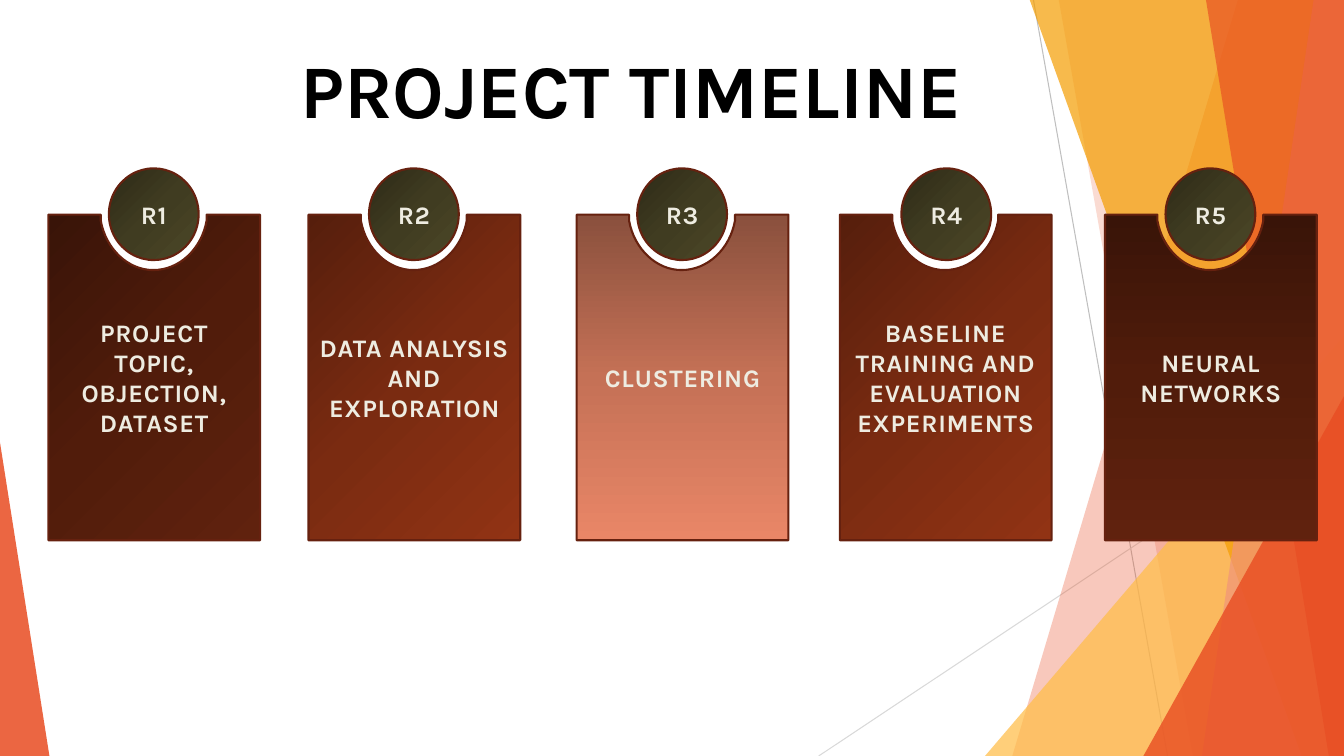
import lxml.etree
import pptx
import pptx.dml.color
import pptx.enum.shapes
import pptx.enum.text
import pptx.oxml
import pptx.oxml.ns
import pptx.util

Inches = pptx.util.Inches
Pt = pptx.util.Pt
RGBColor = pptx.dml.color.RGBColor
SHAPE = pptx.enum.shapes.MSO_SHAPE
qn = pptx.oxml.ns.qn

FONT = "Karla"
WHITE = RGBColor(0xFF, 0xFF, 0xFF)
BLACK = RGBColor(0x00, 0x00, 0x00)
CREAM = RGBColor(0xEE, 0xEC, 0xE1)
EDGE = RGBColor(0x66, 0x21, 0x0F)
GREY = RGBColor(0xBF, 0xBF, 0xBF)
PALE_GREY = RGBColor(0xD9, 0xD9, 0xD9)
ORANGE = RGBColor(0xE8, 0x4C, 0x22)
YELLOW = RGBColor(0xFF, 0xBD, 0x47)
AMBER = RGBColor(0xF4, 0x9D, 0x00)
SALMON = RGBColor(0xF1, 0x94, 0x7A)
MAROON = (RGBColor(0x39, 0x14, 0x08), RGBColor(0x51, 0x1C, 0x0B), RGBColor(0x60, 0x22, 0x0E))
RUST = (RGBColor(0x56, 0x1E, 0x0C), RGBColor(0x7A, 0x2B, 0x11), RGBColor(0x91, 0x33, 0x14))
CORAL = (RGBColor(0x8A, 0x50, 0x3D), RGBColor(0xC5, 0x71, 0x56), RGBColor(0xE9, 0x86, 0x67))
OLIVE = (RGBColor(0x2D, 0x2A, 0x17), RGBColor(0x40, 0x3C, 0x21), RGBColor(0x4C, 0x47, 0x27))

PAGE_WIDTH, PAGE_HEIGHT = 13.33, 7.5
CARD_TOP, CARD_WIDTH, CARD_HEIGHT = 2.13, 2.1, 3.23
STAGES = [
    (0.48, 1.08, "R1", "PROJECT TOPIC, OBJECTION, DATASET", MAROON, 45),
    (3.06, 3.66, "R2", "DATA ANALYSIS AND EXPLORATION", RUST, 45),
    (5.72, 6.32, "R3", "CLUSTERING", CORAL, 90),
    (8.33, 8.94, "R4", "BASELINE TRAINING AND EVALUATION EXPERIMENTS", RUST, 45),
    (10.96, 11.56, "R5", "NEURAL NETWORKS", MAROON, 90),
]


def add_polygon(page, points):
    """Draw a closed outline through points given in inches."""
    corners = [(Inches(x), Inches(y)) for x, y in points]
    builder = page.shapes.build_freeform(*corners[0])
    builder.add_line_segments(corners[1:], close=True)
    return builder.convert_to_shape()


def bend_segment(shape, index, controls):
    """Turn one straight segment into a curve with controls in inches from the shape corner."""
    segment = list(shape._element.iter(qn("a:lnTo")))[index]
    curve = lxml.etree.Element(qn("a:cubicBezTo"))
    for x, y in controls:
        lxml.etree.SubElement(curve, qn("a:pt"), x=str(Inches(x)), y=str(Inches(y)))
    curve.append(segment[0])
    segment.getparent().replace(segment, curve)


def paint_clear(shape, color, percent):
    """Fill a shape with one colour at the given opacity and no outline."""
    shape.shadow.inherit = False
    shape.line.fill.background()
    shape.fill.solid()
    shape.fill.fore_color.rgb = color
    swatch = shape.fill._xPr.find(qn("a:solidFill"))[0]
    lxml.etree.SubElement(swatch, qn("a:alpha"), val=str(percent * 1000))


def paint_gradient(shape, colors, angle):
    """Fill a shape with evenly spaced gradient stops and a dark red edge."""
    shape.shadow.inherit = False
    shape.line.color.rgb = EDGE
    shape.line.width = Pt(1.5)
    shape.fill.gradient()
    shape.fill.gradient_angle = 360 - angle
    stops = shape.fill._xPr.find(qn("a:gradFill")).find(qn("a:gsLst"))
    for stop in list(stops):
        stops.remove(stop)
    for index, color in enumerate(colors):
        stop = lxml.etree.SubElement(stops, qn("a:gs"), pos=str(index * 50000))
        lxml.etree.SubElement(stop, qn("a:srgbClr"), val=str(color))


def write_centred(shape, text, size, color):
    """Write one centred bold run and return it."""
    para = shape.text_frame.paragraphs[0]
    para.alignment = pptx.enum.text.PP_ALIGN.CENTER
    span = para.add_run()
    span.text = text
    span.font.name = FONT
    span.font.size = Pt(size)
    span.font.bold = True
    span.font.color.rgb = color
    return span


def write_label(shape, text):
    """Write a letter-spaced cream label in the middle of a shape."""
    shape.text_frame.word_wrap = True
    shape.text_frame.vertical_anchor = pptx.enum.text.MSO_ANCHOR.MIDDLE
    span = write_centred(shape, text, 18, CREAM)
    span.font._element.set("spc", "50")


def add_hairline(page, start, end, color):
    """Draw a thin line across the background."""
    line = page.shapes.add_connector(
        pptx.enum.shapes.MSO_CONNECTOR.STRAIGHT, *map(Inches, start + end))
    line.line.color.rgb = color
    line.line.width = Pt(0.75)
    lxml.etree.SubElement(line._element.spPr, qn("a:effectLst"))


def add_ribbon(page, top_x, bottom_x, color, percent):
    """Draw a slanted band from its left edge to the right side of the page."""
    ribbon = add_polygon(page, [
        (top_x, -0.01), (PAGE_WIDTH, -0.01),
        (PAGE_WIDTH, PAGE_HEIGHT), (bottom_x, PAGE_HEIGHT)])
    paint_clear(ribbon, color, percent)


def add_wedge(page, left, top, width, apex, color, percent):
    """Draw a triangle standing on the bottom of the page."""
    wedge = page.shapes.add_shape(
        SHAPE.ISOSCELES_TRIANGLE,
        *map(Inches, (left, top, width, PAGE_HEIGHT - top)))
    wedge.adjustments[0] = apex
    paint_clear(wedge, color, percent)


def add_backdrop(page):
    """Draw the layered facets behind the timeline."""
    add_hairline(page, (10.25, 0), (11.58, PAGE_HEIGHT), GREY)
    add_hairline(page, (PAGE_WIDTH, 4.03), (8.12, PAGE_HEIGHT), PALE_GREY)
    add_ribbon(page, 12.28, 10.04, ORANGE, 30)
    add_ribbon(page, 10.5, 11.83, ORANGE, 20)
    add_wedge(page, 9.77, 3.33, 3.56, 1, YELLOW, 72)
    add_ribbon(page, 10.21, 12.91, AMBER, 70)
    add_ribbon(page, 13.03, 11.92, SALMON, 70)
    add_ribbon(page, 11.96, 13.18, ORANGE, 65)
    add_wedge(page, 11.34, 3.93, 1.99, 1, ORANGE, 80)
    add_wedge(page, 0, 4.39, 0.49, 0, ORANGE, 85)


def add_card(page, left, top, width, height, text, colors, angle):
    """Draw a card with a round notch in its top edge."""
    outline = [
        (0, 0), (0.52, 0), (0.52, 0.06), (1.04, 0.55), (1.57, 0.06), (1.57, 0),
        (width, 0), (width, height), (0, height)]
    card = add_polygon(page, [(left + x, top + y) for x, y in outline])
    bend_segment(card, 3, [(1.3, 0.55), (1.52, 0.34)])
    bend_segment(card, 2, [(0.57, 0.34), (0.79, 0.55)])
    paint_gradient(card, colors, angle)
    write_label(card, text)


def add_badge(page, left, top, width, height, code):
    """Draw a round badge holding a stage code."""
    badge = page.shapes.add_shape(SHAPE.OVAL, *map(Inches, (left, top, width, height)))
    paint_gradient(badge, OLIVE, 45)
    write_label(badge, code)


def add_title(page, left, top, width, height):
    """Write the slide heading with a fine white outline."""
    box = page.shapes.add_textbox(*map(Inches, (left, top, width, height)))
    box.text_frame.word_wrap = False
    box.text_frame.auto_size = pptx.enum.text.MSO_AUTO_SIZE.SHAPE_TO_FIT_TEXT
    span = write_centred(box, "PROJECT TIMELINE", 54, BLACK)
    outline = pptx.oxml.parse_xml(
        f'<a:ln {pptx.oxml.ns.nsdecls("a")} w="{Pt(0.75)}">'
        f'<a:solidFill><a:srgbClr val="{WHITE}"/></a:solidFill></a:ln>')
    span.font._element.insert(0, outline)


def main():
    """Build the project timeline slide."""
    deck = pptx.Presentation()
    deck.slide_width = Inches(PAGE_WIDTH)
    deck.slide_height = Inches(PAGE_HEIGHT)
    page = deck.slides.add_slide(deck.slide_layouts[6])
    add_backdrop(page)
    for left, _, _, text, colors, angle in STAGES:
        add_card(page, left, CARD_TOP, CARD_WIDTH, CARD_HEIGHT, text, colors, angle)
    for _, left, code, *_ in STAGES:
        add_badge(page, left, 1.67, 0.89, 0.91, code)
    add_title(page, 2.59, 0.38, 7.34, 1.01)
    deck.save("out.pptx")


if __name__ == "__main__":
    main()
